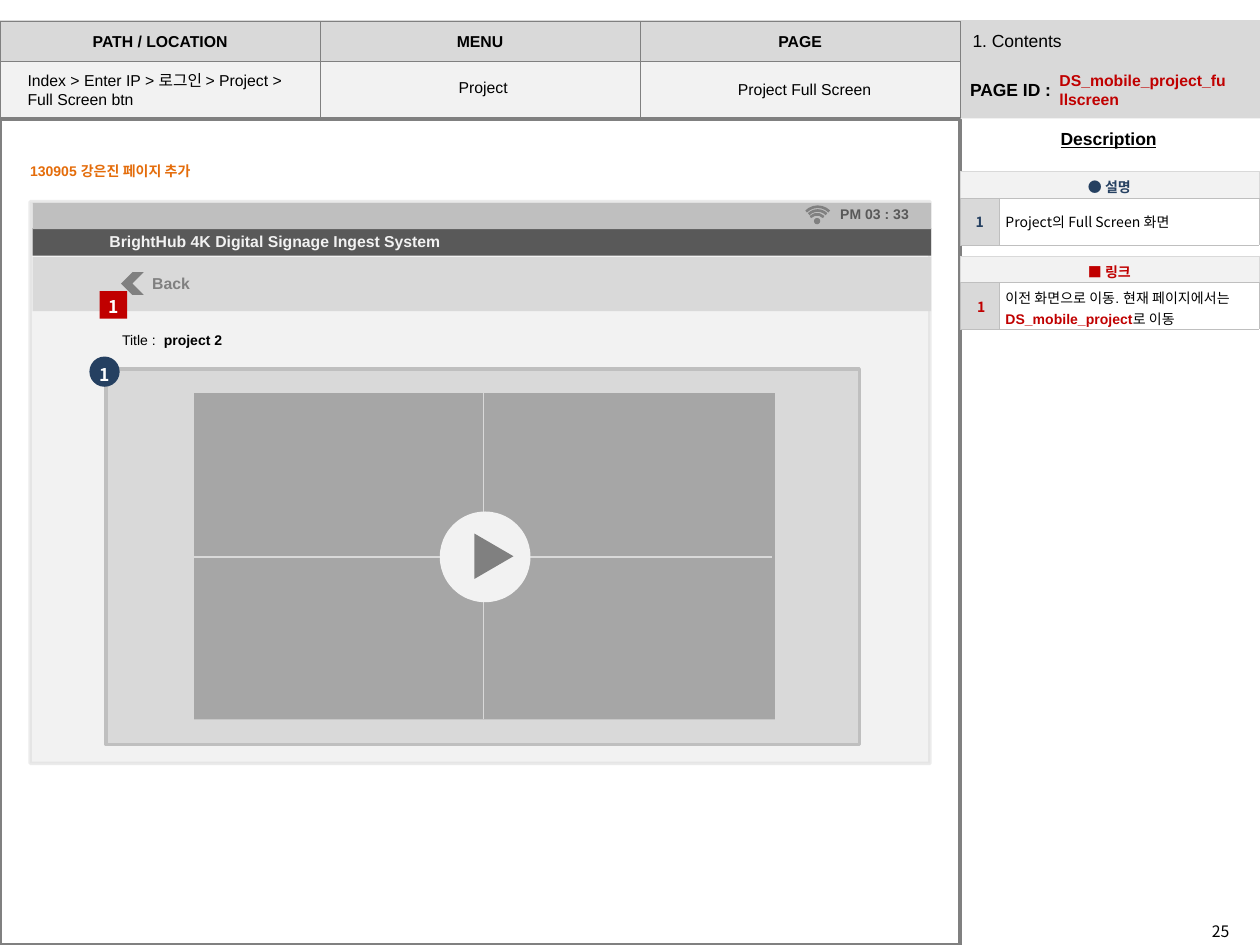
from lxml import etree
from pptx import Presentation
from pptx.dml.color import RGBColor
from pptx.enum.shapes import MSO_CONNECTOR, MSO_SHAPE
from pptx.enum.text import MSO_ANCHOR, PP_ALIGN
from pptx.oxml.ns import qn
from pptx.util import Inches, Pt

RECT, OVAL, ARC = MSO_SHAPE.RECTANGLE, MSO_SHAPE.OVAL, MSO_SHAPE.ARC
CHEVRON, TRIANGLE = MSO_SHAPE.CHEVRON, MSO_SHAPE.ISOSCELES_TRIANGLE
STRAIGHT = MSO_CONNECTOR.STRAIGHT
LEFT, CENTER = PP_ALIGN.LEFT, PP_ALIGN.CENTER
TOP, MIDDLE = MSO_ANCHOR.TOP, MSO_ANCHOR.MIDDLE

ARIAL, KOREAN = "Arial", "Noto Sans CJK KR"
BLACK, WHITE, RED, NAVY, ORANGE = "000000", "FFFFFF", "C00000", "254061", "E46C0A"
PALE, LIGHT, SILVER, MID, GRAY, DARK = "F2F2F2", "D9D9D9", "BFBFBF", "A6A6A6", "808080", "595959"
COLUMNS, ROWS = 100, 75


def color(value):
    return RGBColor.from_string(value)


def grid(*cells):
    """Grid cells to lengths; a cell is a hundredth of the slide's width."""
    return [Inches(cell * 10 / COLUMNS) for cell in cells]


class Wireframe:
    def __init__(self, slide):
        self.shapes = slide.shapes

    def paragraphs(self, frame, lines, align=LEFT, spacing=None, **style):
        """Each line is a list of (text, style changes)."""
        for index, runs in enumerate(lines):
            paragraph = frame.paragraphs[0] if index == 0 else frame.add_paragraph()
            paragraph.alignment = align
            if spacing:
                paragraph.line_spacing = spacing
            for text, changes in runs:
                self.run(paragraph, text, **{**style, **changes})

    def run(self, paragraph, text, size=9, font=ARIAL, ink=BLACK, bold=False, underline=False):
        run = paragraph.add_run()
        run.text = text
        run.font.size, run.font.name = Pt(size), font
        run.font.bold, run.font.underline = bold, underline
        run.font.color.rgb = color(ink)
        east_asian = etree.SubElement(run._r.get_or_add_rPr(), qn("a:ea"))
        east_asian.set("typeface", KOREAN)

    def text(self, at, *lines, anchor=TOP, **style):
        frame = self.shapes.add_textbox(*grid(*at)).text_frame
        frame.word_wrap = True
        frame.vertical_anchor = anchor
        lines = [[(line, {})] if isinstance(line, str) else line for line in lines]
        self.paragraphs(frame, lines, **style)

    def shape(self, at, kind=RECT, fill=None, line=None, width=2, alpha=None, turn=0):
        shape = self.shapes.add_shape(kind, *grid(*at))
        shape.shadow.inherit = False
        shape.rotation = turn
        if fill:
            shape.fill.solid()
            shape.fill.fore_color.rgb = color(fill)
        else:
            shape.fill.background()
        if line:
            shape.line.color.rgb = color(line)
            shape.line.width = Pt(width)
        else:
            shape.line.fill.background()
        if alpha:
            tone = shape._element.spPr.find(qn("a:ln")).find(".//" + qn("a:srgbClr"))
            etree.SubElement(tone, qn("a:alpha")).set("val", str(alpha * 1000))

    def line(self, start, end):
        line = self.shapes.add_connector(STRAIGHT, *grid(*start, *end))
        line.line.color.rgb = color(LIGHT)
        line.line.width = Pt(0.75)
        etree.SubElement(line._element.spPr, qn("a:effectLst"))

    def table(self, at, widths, heights):
        table = self.shapes.add_table(len(heights), len(widths), *grid(*at, sum(widths), sum(heights))).table
        for column, width in zip(table.columns, grid(*widths)):
            column.width = width
        for row, height in zip(table.rows, grid(*heights)):
            row.height = height
        return table

    def cell(self, cell, fill, border, width, runs=(), inset=None, **style):
        cell.vertical_anchor = MIDDLE
        if inset:
            cell.margin_left = cell.margin_right = Inches(inset)
            cell.margin_top = cell.margin_bottom = Inches(0.04)
        if fill:
            cell.fill.solid()
            cell.fill.fore_color.rgb = color(fill)
        else:
            cell.fill.background()
        properties = cell._tc.get_or_add_tcPr()
        for index, side in enumerate(("lnL", "lnR", "lnT", "lnB")):
            edge = etree.Element(qn("a:" + side), w=str(int(Pt(width))))
            solid = etree.SubElement(edge, qn("a:solidFill"))
            etree.SubElement(solid, qn("a:srgbClr")).set("val", border)
            properties.insert(index, edge)
        if runs:
            self.paragraphs(cell.text_frame, [runs], **style)

    def note(self, top, heading, number, ink, body, font):
        """Legend table: a heading over a numbered description."""
        table = self.table((76.2, top), (3.1, 20.6), (1.9, 3.7))
        table.cell(0, 0).merge(table.cell(0, 1))
        frame = dict(border=SILVER, width=0.25, inset=0.05, size=8)
        label = dict(frame, font=KOREAN, ink=ink, bold=True, align=CENTER)
        self.cell(table.cell(0, 0), PALE, runs=[(heading, {})], **dict(label, border=LIGHT))
        self.cell(table.cell(0, 1), PALE, LIGHT, 0.25)
        self.cell(table.cell(1, 0), LIGHT, runs=[(number, {})], **label)
        self.cell(table.cell(1, 1), None, runs=body, font=font, **frame)

    def marker(self, at, kind, fill, text_at):
        self.shape(at, kind, fill)
        self.text(text_at, "1", size=10, font=KOREAN, ink=WHITE, bold=True, spacing=1.5)


deck = Presentation()
deck.slide_width, deck.slide_height = grid(COLUMNS, ROWS)
page = Wireframe(deck.slides.add_slide(deck.slide_layouts[6]))

# Page frame and header
page.shape((0, 1.6, 100, 7.8), fill=LIGHT)
page.text((76, 5.8, 10.2, 2.7), "PAGE ID :", size=10, bold=True)
page.text((83.2, 9.7, 11.7, 2.7), "Description", size=10, bold=True, underline=True)
page.shape((0, 9.5, 76.2, 65.5), line=GRAY)
header = page.table((0, 1.7), (25.4,) * 3, (3.2, 4.4))
for column, title in enumerate(("PATH / LOCATION", "MENU", "PAGE")):
    page.cell(header.cell(0, column), LIGHT, GRAY, 0.5, [(title, {})], bold=True, align=CENTER)
    page.cell(header.cell(1, column), PALE, GRAY, 0.5)
page.text((1.2, 5.1, 25.2, 4), "Index > Enter IP > 로그인 > Project > ", "Full Screen btn")
page.text((34.5, 5.7, 7.7, 2.5), "Project", align=CENTER)
page.text((53.1, 5.8, 21.5, 2.5), "Project Full Screen", align=CENTER)
page.text((76.2, 0.7, 23.8, 5.1), "1. Contents", size=10, anchor=MIDDLE)
page.text((83.1, 5.1, 15.4, 4), "DS_mobile_project_fullscreen", ink=RED, bold=True)
page.text((95.2, 72.7, 6.1, 4), "25", font=KOREAN)
page.text((1.4, 12.4, 18.4, 2.4), "130905 강은진 페이지 추가", size=8, ink=ORANGE, bold=True)

# Device screen with its bars
page.shape((2.4, 16, 71.4, 44.6), fill=PALE, line=LIGHT, alpha=50)
for top, height, fill in ((18.1, 2.2, DARK), (16.1, 2.1, SILVER), (20.4, 4.3, LIGHT)):
    page.shape((2.6, top, 71.3, height), fill=fill)
page.text((7.7, 17.9, 43.6, 2.5), "BrightHub 4K Digital Signage Ingest System", ink=PALE, bold=True)
page.text((65.7, 15.8, 9.4, 2.4), "PM 03 : 33", size=8, ink=DARK, bold=True)

# Signal icon
for left, top, size in ((63.6, 16.4, 2.6), (63.9, 16.7, 2), (64.1, 17, 1.5)):
    page.shape((left, top, size, size), ARC, line=GRAY, width=1.5, turn=315)
page.shape((64.6, 17.3, 0.5, 0.5), OVAL, GRAY)

# Back button, title and player panel
page.shape((8.4, 29.3, 59.8, 29.8), fill=LIGHT, line=SILVER)
page.shape((9.6, 21.6, 1.8, 1.8), CHEVRON, GRAY, turn=180)
page.text((11.1, 21.2, 9.7, 2.5), "Back", ink=GRAY, bold=True)
page.text((8.7, 25.8, 20.1, 2.4), [("Title :  ", {}), ("project 2", {"bold": True})], size=8)

# Video area
page.shape((15.4, 31.2, 46.1, 25.9), fill=MID)
page.line((15.2, 44.2), (61.3, 44.2))
page.line((38.4, 57.1), (38.4, 31.2))
page.shape((34.9, 40.6, 7.2, 7.2), OVAL, PALE)
page.shape((37.4, 42.6, 3.6, 3.1), TRIANGLE, GRAY, turn=90)

# Numbered markers
page.marker((7.9, 23.1, 2.2, 2.2), RECT, RED, (7.6, 22.2, 4.2, 3.2))
page.marker((7.1, 28.3, 2.4, 2.4), OVAL, NAVY, (6.9, 27.6, 4.2, 3.2))

# Description notes
page.note(13.6, "● 설명", "1", NAVY, [("Project의 Full Screen 화면", {})], KOREAN)
page.note(20.3, "■ 링크", " 1", RED, [
    ("이전 화면으로 이동. 현재 페이지에서는 ", {}),
    ("DS_mobile_project", {"ink": RED, "bold": True}),
    ("로 이동", {}),
], ARIAL)

deck.save("out.pptx")
